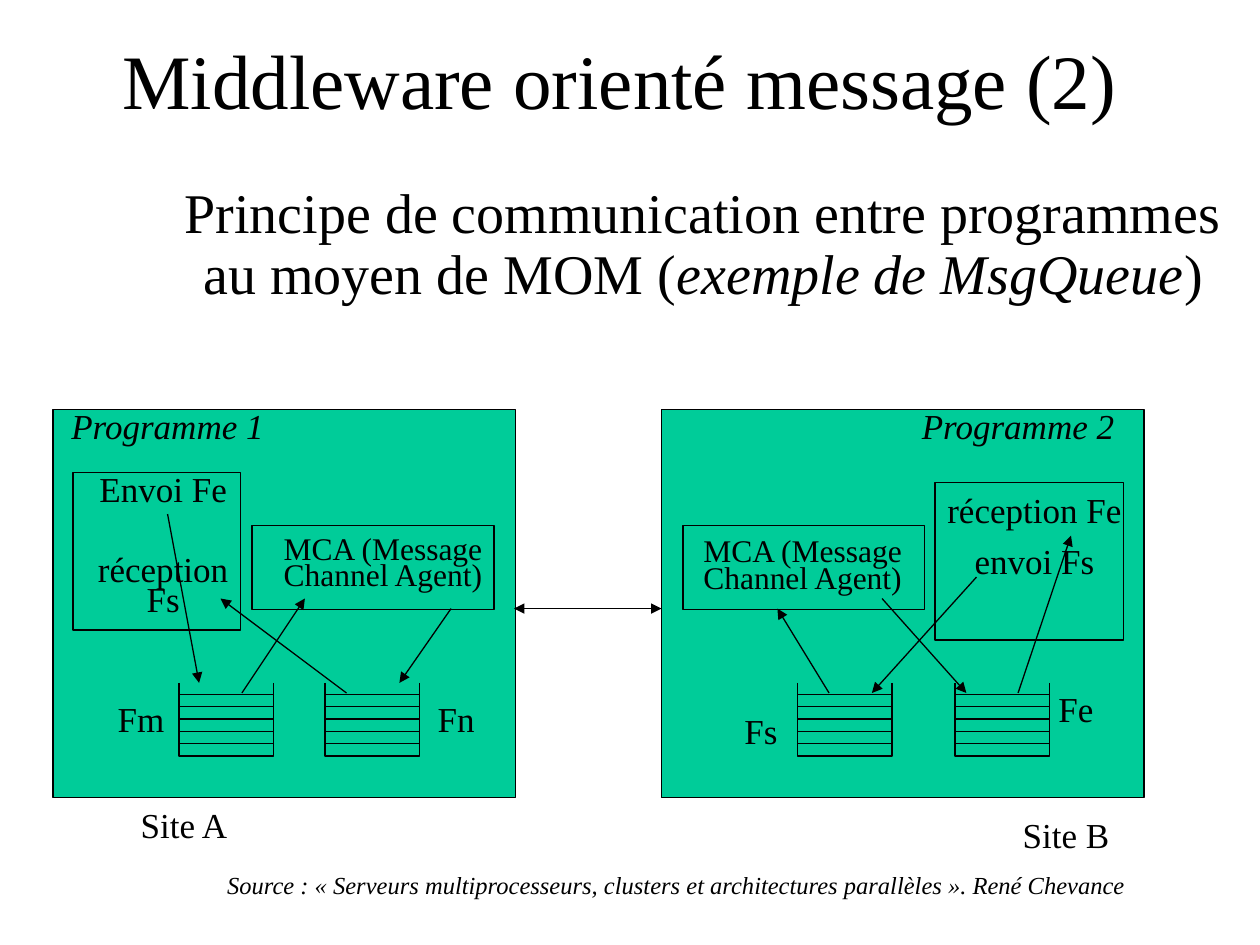
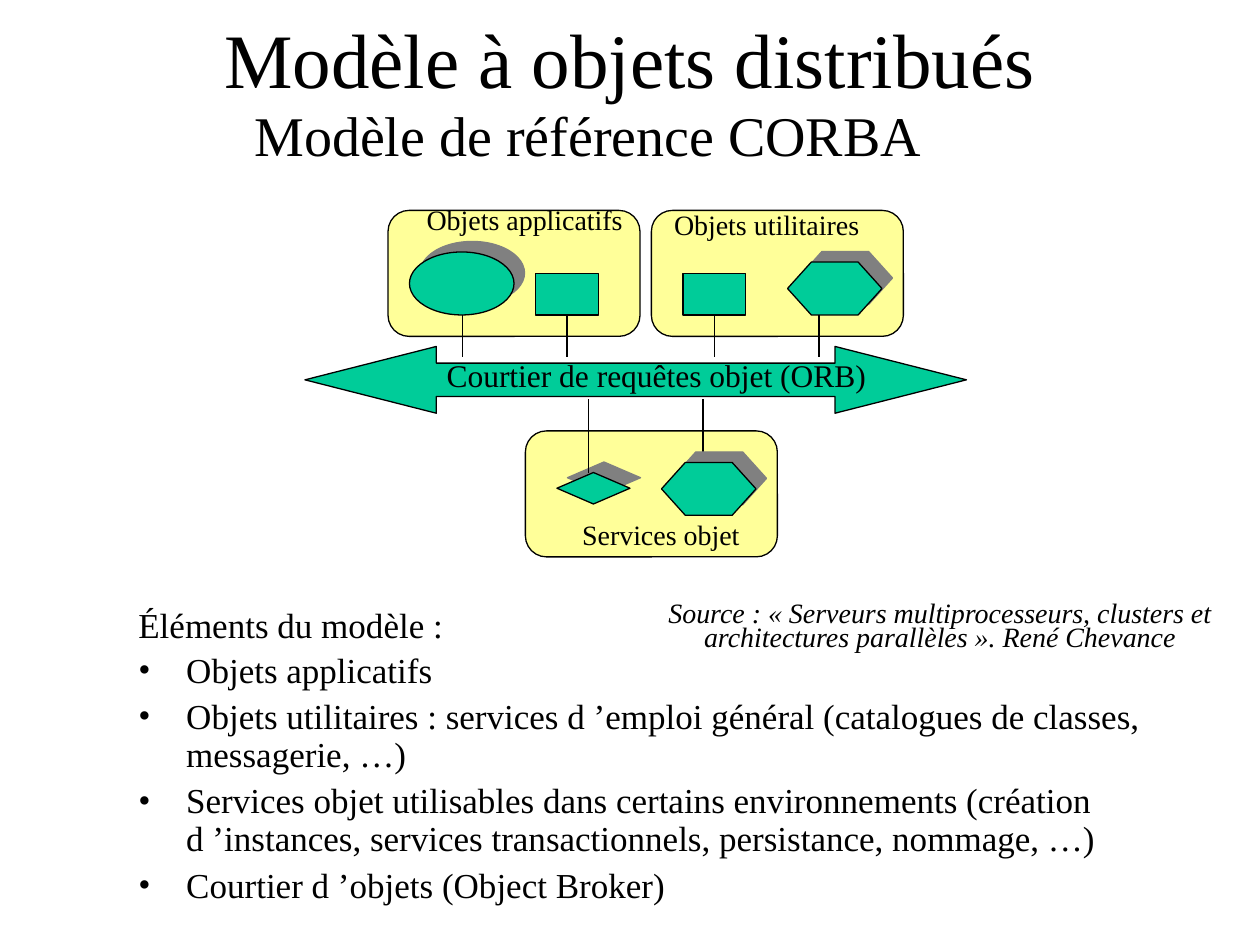
from lxml.etree import SubElement
from pptx import Presentation
from pptx.dml.color import RGBColor
from pptx.enum.shapes import MSO_CONNECTOR, MSO_SHAPE as Preset
from pptx.enum.text import MSO_ANCHOR, MSO_AUTO_SIZE, PP_ALIGN
from pptx.oxml.ns import qn
from pptx.util import Inches, Pt

BLACK = RGBColor(0x00, 0x00, 0x00)
GREEN = RGBColor(0x00, 0xCC, 0x99)
YELLOW = RGBColor(0xFF, 0xFF, 0x99)
SHADOW_GREY = RGBColor(0x80, 0x80, 0x80)
FONT = "Times New Roman"
LINE_WIDTH = Pt(0.75)
BOTTOM = 2
NBSP = chr(160)  # no-break space, named because it cannot be seen
SOURCE = (f"Source : «{NBSP}Serveurs multiprocesseurs, clusters et architectures "
          f"parallèles{NBSP}». René Chevance")


class Deck:
    """Holds the shared style, the current slide and the container being filled."""

    def __init__(self):
        self.prs = Presentation()
        self.prs.slide_width, self.prs.slide_height = Inches(10), Inches(7.5)
        self.slide = self.shapes = None

    def new_slide(self, title, left, top):
        self.slide = self.prs.slides.add_slide(self.prs.slide_layouts[5])
        self.shapes = self.slide.shapes
        holder = self.shapes.title
        holder.left, holder.top = Inches(left), Inches(top)
        holder.width, holder.height = Inches(8.5), Inches(1.25)
        holder.text_frame.vertical_anchor = MSO_ANCHOR.MIDDLE
        paragraph = holder.text_frame.paragraphs[0]
        paragraph.alignment = PP_ALIGN.CENTER
        self.run(paragraph, title, 44)

    def start_group(self):
        self.shapes = self.slide.shapes.add_group_shape().shapes

    def end_group(self):
        self.shapes = self.slide.shapes

    def run(self, paragraph, text, size, italic=False):
        run = paragraph.add_run()
        run.text = text
        run.font.name, run.font.size = FONT, Pt(size)
        run.font.italic = italic
        run.font.color.rgb = BLACK

    def text_box(self, left, top, width, height, grow=True):
        box = self.shapes.add_textbox(Inches(left), Inches(top), Inches(width), Inches(height))
        frame = box.text_frame
        frame.word_wrap = True
        frame.auto_size = MSO_AUTO_SIZE.SHAPE_TO_FIT_TEXT if grow else MSO_AUTO_SIZE.NONE
        return frame

    def label(self, left, top, width, height, *lines, size=20, italic=False):
        """Add centred text with tight lines, one paragraph for each line."""
        frame = self.text_box(left, top, width, height)
        for index, line in enumerate(lines):
            paragraph = frame.add_paragraph() if index else frame.paragraphs[0]
            paragraph.alignment = PP_ALIGN.CENTER
            paragraph.line_spacing = 0.7
            paragraph.space_before = Pt(size * 0.625)
            self.run(paragraph, line, size, italic)

    def hang(self, paragraph, bullet=None):
        """Give the paragraph a hanging indent, with a bullet if one is named."""
        properties = paragraph._p.get_or_add_pPr()
        properties.set("marL", str(Inches(0.38)))
        properties.set("indent", str(Inches(-0.38)))
        if bullet:
            color = SubElement(properties, qn("a:buClr"))
            SubElement(color, qn("a:srgbClr"), val=str(BLACK))
            SubElement(properties, qn("a:buFont"), typeface=FONT)
            SubElement(properties, qn("a:buChar"), char=bullet)
        else:
            SubElement(properties, qn("a:buNone"))

    def shape(self, preset, left, top, width, height, fill=GREEN, adjust=(), shadow=False):
        shape = self.shapes.add_shape(
            preset, Inches(left), Inches(top), Inches(width), Inches(height))
        for index, value in enumerate(adjust):
            shape.adjustments[index] = value
        shape.fill.solid()
        shape.fill.fore_color.rgb = fill
        shape.line.color.rgb = BLACK
        shape.line.width = LINE_WIDTH
        shape.shadow.inherit = False
        if shadow:
            effects = shape.element.spPr.find(qn("a:effectLst"))
            outer = SubElement(effects, qn("a:outerShdw"), dist=str(Pt(8.5)),
                               dir=str(315 * 60000), algn="ctr", rotWithShape="0")
            SubElement(outer, qn("a:srgbClr"), val=str(SHADOW_GREY))
        return shape

    def line(self, start, end, head=False, tail=False, source=None):
        connector = self.shapes.add_connector(
            MSO_CONNECTOR.STRAIGHT, *(Inches(value) for value in (*start, *end)))
        connector.line.color.rgb = BLACK
        connector.line.width = LINE_WIDTH
        properties = connector.element.spPr
        outline = properties.find(qn("a:ln"))
        for wanted, tag in ((head, "a:headEnd"), (tail, "a:tailEnd")):
            if wanted:
                SubElement(outline, qn(tag), type="triangle")
        SubElement(properties, qn("a:effectLst"))
        if source is not None:
            connector.begin_connect(source, BOTTOM)

    def queue(self, left):
        """Draw an open-topped message queue with five slots."""
        top, bottom, width, slots = 5.51, 6, 0.75, 5
        right = left + width
        self.start_group()
        self.shape(Preset.RECTANGLE, left, top, width, bottom - top)
        for side in (left, right):
            self.line((side, 5.42), (side, bottom))
        for slot in range(1, slots):
            level = top + slot * (bottom - top) / slots
            self.line((left, level), (right, level))
        self.end_group()


def message_slide(deck):
    deck.new_slide("Middleware orienté message (2)", 0.67, 0)

    sites_programs_agents = (
        (5.25, 3.25, 3.83, 3.08), (0.42, 3.25, 3.67, 3.08),
        (7.42, 3.83, 1.5, 1.25), (5.42, 4.17, 1.92, 0.67),
        (2, 4.17, 1.92, 0.67), (0.58, 3.75, 1.33, 1.25))
    for bounds in sites_programs_agents:
        deck.shape(Preset.RECTANGLE, *bounds)

    principle = deck.text_box(1.33, 1.42, 8.5, 1.06).paragraphs[0]
    principle.alignment = PP_ALIGN.CENTER
    principle.line_spacing = 0.9
    principle.space_before = Pt(20)
    deck.run(principle, "Principe de communication entre programmes au moyen de MOM (", 32)
    deck.run(principle, "exemple de MsgQueue", 32, italic=True)
    deck.run(principle, ")", 32)
    deck.label(0.83, 6.92, 9.08, 0.27, SOURCE, size=14, italic=True)

    for left in (1.42, 2.58, 6.33, 7.58):
        deck.queue(left)

    for left, program in ((0.33, "Programme 1"), (7.08, "Programme 2")):
        deck.label(left, 3.25, 2, 0.34, program, italic=True)
    deck.label(0.67, 3.75, 1.25, 1.21, "Envoi Fe", " réception Fs")
    deck.label(7.42, 3.92, 1.58, 0.74, "réception Fe ", "envoi Fs")
    for left, top in ((2, 4.23), (5.33, 4.25)):
        deck.label(left, top, 2.08, 0.52, "MCA (Message Channel Agent)", size=18)
    for left, top, site in ((0.92, 6.42, "Site A"), (7.92, 6.5, "Site B")):
        deck.label(left, top, 1.08, 0.34, site)
    queue_names = ((0.83, 5.58, "Fm"), (3.33, 5.58, "Fn"),
                   (5.75, 5.67, "Fs"), (8.25, 5.5, "Fe"))
    for left, top, name in queue_names:
        deck.label(left, top, 0.58, 0.34, name)

    message_flows = (
        ((1.33, 4.08), (1.58, 5.42)), ((1.92, 5.5), (2.42, 4.75)),
        ((2.75, 5.5), (1.75, 4.75)), ((3.58, 4.83), (3.17, 5.42)),
        ((6.58, 5.5), (6.17, 4.83)), ((7.75, 4.58), (6.92, 5.5)),
        ((7, 4.75), (7.67, 5.5)), ((8.08, 5.5), (8.5, 4.25)))
    for start, end in message_flows:
        deck.line(start, end, tail=True)
    deck.line((4.08, 4.83), (5.25, 4.83), head=True, tail=True)


def corba_slide(deck):
    deck.new_slide("Modèle à objets distribués", 0.75, -0.17)

    subtitle = deck.text_box(1.92, 0.75, 6.83, 0.67, grow=False).paragraphs[0]
    subtitle.space_before = Pt(8)
    deck.hang(subtitle)
    deck.run(subtitle, "Modèle de référence CORBA", 32)

    elements = deck.text_box(1, 4.83, 8.5, 2.5, grow=False)
    heading = elements.paragraphs[0]
    heading.line_spacing = 0.7
    heading.space_before = Pt(5)
    deck.hang(heading)
    deck.run(heading, "Éléments du modèle :", 20)
    for element in (
            "Objets applicatifs",
            f"Objets utilitaires : services d{NBSP}’emploi général "
            "(catalogues de classes, messagerie, …)",
            "Services objet utilisables dans certains environnements (création "
            f"d{NBSP}’instances, services transactionnels, persistance, nommage, …)",
            f"Courtier d{NBSP}’objets (Object Broker)"):
        item = elements.add_paragraph()
        item.line_spacing = 0.9
        item.space_before = Pt(5)
        deck.hang(item, "•")
        deck.run(item, element, 20)

    deck.label(5, 4.75, 4.92, 0.48, SOURCE, size=16, italic=True)

    deck.start_group()
    for left, top in ((4.17, 3.42), (3.08, 1.67), (5.17, 1.67)):
        deck.shape(Preset.ROUNDED_RECTANGLE, left, top, 2, 1, YELLOW, (0.167,))
    deck.shape(Preset.LEFT_RIGHT_ARROW, 2.42, 2.75, 5.25, 0.53, adjust=(0.5, 1.968))
    deck.label(2.75, 2.86, 4.92, 0.31, "Courtier de requêtes objet (ORB)", size=18)

    deck.shape(Preset.OVAL, 3.25, 2, 0.83, 0.5, shadow=True)
    deck.shape(Preset.HEXAGON, 6.25, 2.08, 0.75, 0.42, adjust=(0.45,), shadow=True)
    deck.shape(Preset.DIAMOND, 4.42, 3.75, 0.58, 0.25, shadow=True)
    for left, top, family in ((2.75, 1.63, "Objets applicatifs"),
                              (4.67, 1.67, "Objets utilitaires"),
                              (3.83, 4.13, "Services objet")):
        deck.label(left, top, 2.83, 0.29, family, size=16)

    for x in (3.67, 6.5):
        deck.line((x, 2.5), (x, 2.83))
    for x in (4.5, 5.67):
        square = deck.shape(Preset.RECTANGLE, x - 0.25, 2.17, 0.5, 0.33)
        deck.line((x, 2.5), (x, 2.83), source=square)
    for x in (4.67, 5.58):
        deck.line((x, 3.17), (x, 3.75))
    deck.shape(Preset.HEXAGON, 5.25, 3.67, 0.75, 0.42, adjust=(0.45,), shadow=True)
    deck.end_group()


def main():
    deck = Deck()
    message_slide(deck)
    corba_slide(deck)
    deck.prs.save("out.pptx")


if __name__ == "__main__":
    main()
